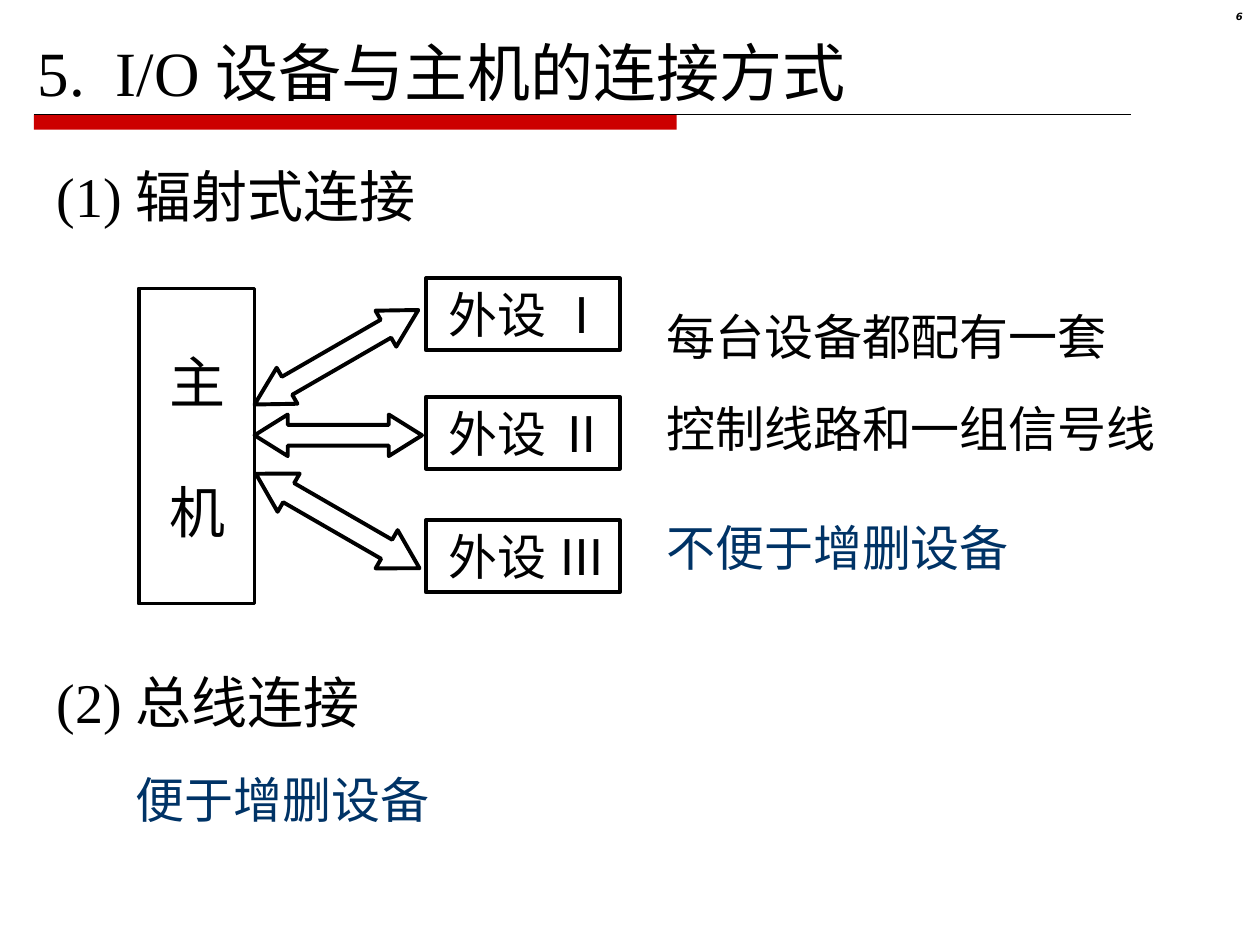
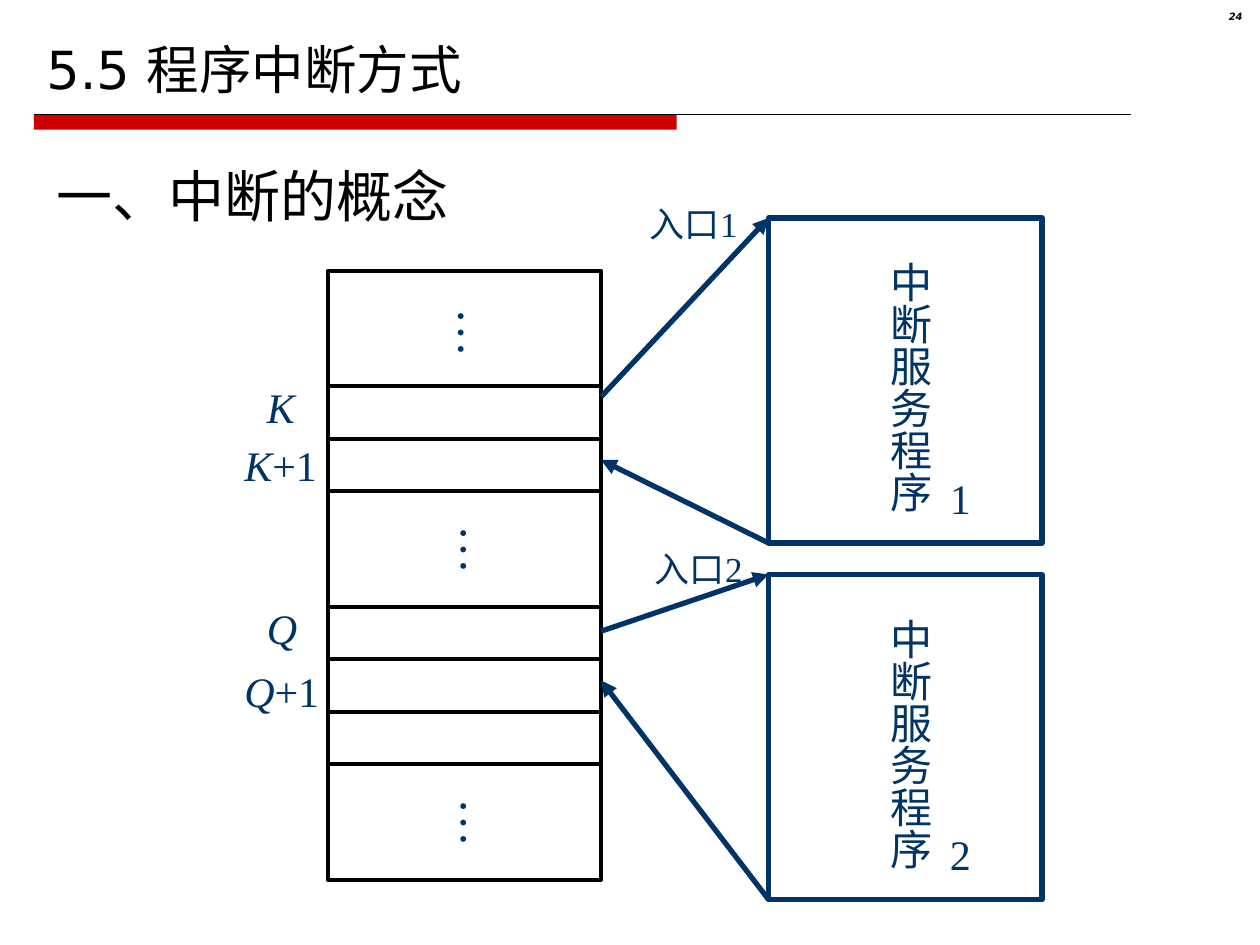
import dataclasses

import pptx
import pptx.dml.color
import pptx.enum.shapes
import pptx.enum.text
import pptx.oxml
import pptx.oxml.ns
import pptx.util
from pptx.util import Inches

Shape = pptx.enum.shapes.MSO_SHAPE
Align = pptx.enum.text.PP_ALIGN
Anchor = pptx.enum.text.MSO_ANCHOR


@dataclasses.dataclass(frozen=True)
class Theme:
    black: str = "000000"
    navy: str = "003366"
    red: str = "CC0000"
    serif: str = "Times New Roman"
    sans: str = "DejaVu Sans"
    title: float = 36
    section_title: float = 30
    heading: float = 32
    body: float = 28
    label: float = 24
    entry: float = 20
    page_number: float = 5.7
    hairline: float = 0.75
    outline: float = 2.25
    heavy: float = 3


def color(value):
    return pptx.dml.color.RGBColor.from_string(value)


def drawing_element(name, attributes=""):
    return pptx.oxml.parse_xml(
        f"<a:{name} {pptx.oxml.ns.nsdecls('a')} {attributes}/>")


class Painter:
    """Holds the theme and the slide being drawn."""

    def __init__(self, deck, theme):
        self.deck = deck
        self.theme = theme
        self.page = None

    def new_page(self, number):
        """Start a slide with the title band and the page number."""
        theme = self.theme
        self.page = self.deck.slides.add_slide(self.deck.slide_layouts[6])
        band = self.shape(Shape.RECTANGLE, 0.27, 0.91, 5.1, 0.12)
        band.fill.solid()
        band.fill.fore_color.rgb = color(theme.red)
        band.line.fill.background()
        self.line((0.27, 0.91), (8.98, 0.91), theme.black, theme.hairline)
        self.text(number, 9.37, 0.05, 0.59, 0.23, size=theme.page_number,
                  font=theme.sans, bold=True, italic=True, align=Align.RIGHT,
                  right_inset=0.1, line_spacing=0.8)

    def text(self, content, left, top, width, height, *, size, ink=None,
             font=None, bold=False, italic=False, align=Align.LEFT,
             anchor=Anchor.TOP, right_inset=0, line_spacing=None,
             tab=None, vertical=False):
        """Add a text box; content is a string or (string, italic) spans."""
        box = self.page.shapes.add_textbox(
            Inches(left), Inches(top), Inches(width), Inches(height))
        frame = box.text_frame
        frame.word_wrap = not vertical
        frame.vertical_anchor = anchor
        if vertical:
            frame.margin_left = frame.margin_right = Inches(0.05)
            frame.margin_top = frame.margin_bottom = Inches(0.1)
            frame.auto_size = pptx.enum.text.MSO_AUTO_SIZE.SHAPE_TO_FIT_TEXT
            frame._txBody.bodyPr.set("vert", "eaVert")
        else:
            frame.margin_right = Inches(right_inset)
        para = frame.paragraphs[0]
        para.alignment = align
        if line_spacing:
            para.line_spacing = line_spacing
        if tab:
            stops = drawing_element("tabLst")
            stops.append(drawing_element("tab", f'pos="{Inches(tab)}" algn="l"'))
            para._p.get_or_add_pPr().append(stops)
        spans = [(content, italic)] if isinstance(content, str) else content
        for words, slanted in spans:
            span = para.add_run()
            span.text = words
            span.font.name = font or self.theme.serif
            span.font.size = pptx.util.Pt(size)
            span.font.bold = bold
            span.font.italic = slanted
            span.font.color.rgb = color(ink or self.theme.black)

    def shape(self, kind, left, top, width, height, ink=None, weight=None,
              rotation=0, adjustments=()):
        """Add an unfilled outlined shape."""
        shape = self.page.shapes.add_shape(
            kind, Inches(left), Inches(top), Inches(width), Inches(height))
        shape.shadow.inherit = False
        shape.fill.background()
        shape.line.color.rgb = color(ink or self.theme.black)
        shape.line.width = pptx.util.Pt(weight or self.theme.outline)
        shape.rotation = rotation
        for index, value in enumerate(adjustments):
            shape.adjustments[index] = value
        return shape

    def line(self, start, end, ink, weight, arrow=False):
        line = self.page.shapes.add_connector(
            pptx.enum.shapes.MSO_CONNECTOR.STRAIGHT,
            *(Inches(value) for value in (*start, *end)))
        line.line.color.rgb = color(ink)
        line.line.width = pptx.util.Pt(weight)
        if arrow:
            line.line._get_or_add_ln().append(
                drawing_element("tailEnd", 'type="triangle"'))
        line._element.spPr.append(drawing_element("effectLst"))

    def heading(self, words, top=1.23):
        self.text(words, 0.35, top, 4.25, 0.64, size=self.theme.heading)

    def jump(self, start, end):
        self.line(start, end, self.theme.navy, self.theme.heavy, arrow=True)


def draw_connections(painter):
    theme = painter.theme
    painter.new_page("6")
    painter.text("5.\tI/O 设备与主机的连接方式", 0.2, 0.22, 7.2, 0.7,
                 size=theme.title, tab=0.62)
    painter.heading("(1) 辐射式连接")
    painter.heading("(2) 总线连接", top=5.25)

    for device, top in (("外设 Ⅰ", 2.21), ("外设 Ⅱ", 3.15), ("外设 Ⅲ", 4.13)):
        painter.shape(Shape.RECTANGLE, 3.38, top, 1.54, 0.57)
        painter.text(device, 3.46, top, 1.46, 0.57, size=theme.body)

    painter.shape(Shape.RECTANGLE, 1.1, 2.29, 0.92, 2.5)
    for character, top in (("主", 2.71), ("机", 3.74)):
        painter.text(character, 1.25, top, 0.64, 0.64, size=theme.heading)

    for left, top, width, height, rotation, head in (
            (1.92, 2.67, 1.5, 0.33, 150, 0.9),
            (2.02, 3.29, 1.33, 0.33, 0, 0.8),
            (1.93, 3.96, 1.5, 0.35, 30, 0.86)):
        painter.shape(Shape.LEFT_RIGHT_ARROW, left, top, width, height,
                      rotation=rotation, adjustments=(0.5, head))

    for remark, left, top, ink in (
            ("每台设备都配有一套", 5.19, 2.38, theme.black),
            ("控制线路和一组信号线", 5.19, 3.11, theme.black),
            ("不便于增删设备", 5.19, 4.06, theme.navy),
            ("便于增删设备", 0.98, 6.06, theme.navy)):
        painter.text(remark, left, top, 4.1, 0.57, size=theme.body, ink=ink)


def draw_interrupts(painter):
    theme = painter.theme
    painter.new_page("24")
    painter.text("5.5 程序中断方式", 0.27, 0.13, 9.45, 0.71,
                 size=theme.section_title, font=theme.sans, anchor=Anchor.BOTTOM)
    painter.heading("一、中断的概念")

    program_left, program_right, service_left = 2.6, 4.77, 6.1
    column_width, service_height = 2.17, 2.58
    tall, short = 11 / 12, 5 / 12
    top = 2.15
    for height in (tall, short, short, tall, short, short, short, tall):
        painter.shape(Shape.RECTANGLE, program_left, top, column_width, height)
        top += height
    for left, top in ((3.42, 2.35), (3.44, 4.07), (3.44, 6.24)):
        painter.text("…", left, top, 0.66, 0.49, size=theme.body,
                     ink=theme.navy, vertical=True)

    for letter, top, next_top in (("K", 2.98, 3.44), ("Q", 4.73, 5.23)):
        painter.text(letter, 2.02, top, 0.44, 0.5, size=theme.label,
                     ink=theme.navy, italic=True)
        painter.text([(letter, True), ("+1", False)], 1.84, next_top, 0.79, 0.5,
                     size=theme.label, ink=theme.navy)

    for number, top, call, back, entry_left, entry_top in (
            ("1", 1.73, 3.15, 3.65, 5.06, 1.56),
            ("2", 4.56, 5.01, 5.4, 5.1, 4.3)):
        painter.shape(Shape.RECTANGLE, service_left, top, column_width,
                      service_height, ink=theme.navy, weight=theme.heavy)
        painter.text("中断服务程序", 6.87, top + 0.25, 0.6, 2.1,
                     size=theme.label, ink=theme.navy, vertical=True)
        painter.text(number, 7.44, top + 1.97, 0.36, 0.5,
                     size=theme.label, ink=theme.navy)
        painter.jump((program_right, call), (service_left, top))
        painter.jump((service_left, top + service_height), (program_right, back))
        painter.text("入口" + number, entry_left, entry_top, 1.17, 0.44,
                     size=theme.entry, ink=theme.navy)


def main():
    deck = pptx.Presentation()
    deck.slide_width = Inches(10)
    deck.slide_height = Inches(7.5)
    painter = Painter(deck, Theme())
    draw_connections(painter)
    draw_interrupts(painter)
    deck.save("out.pptx")


if __name__ == "__main__":
    main()
